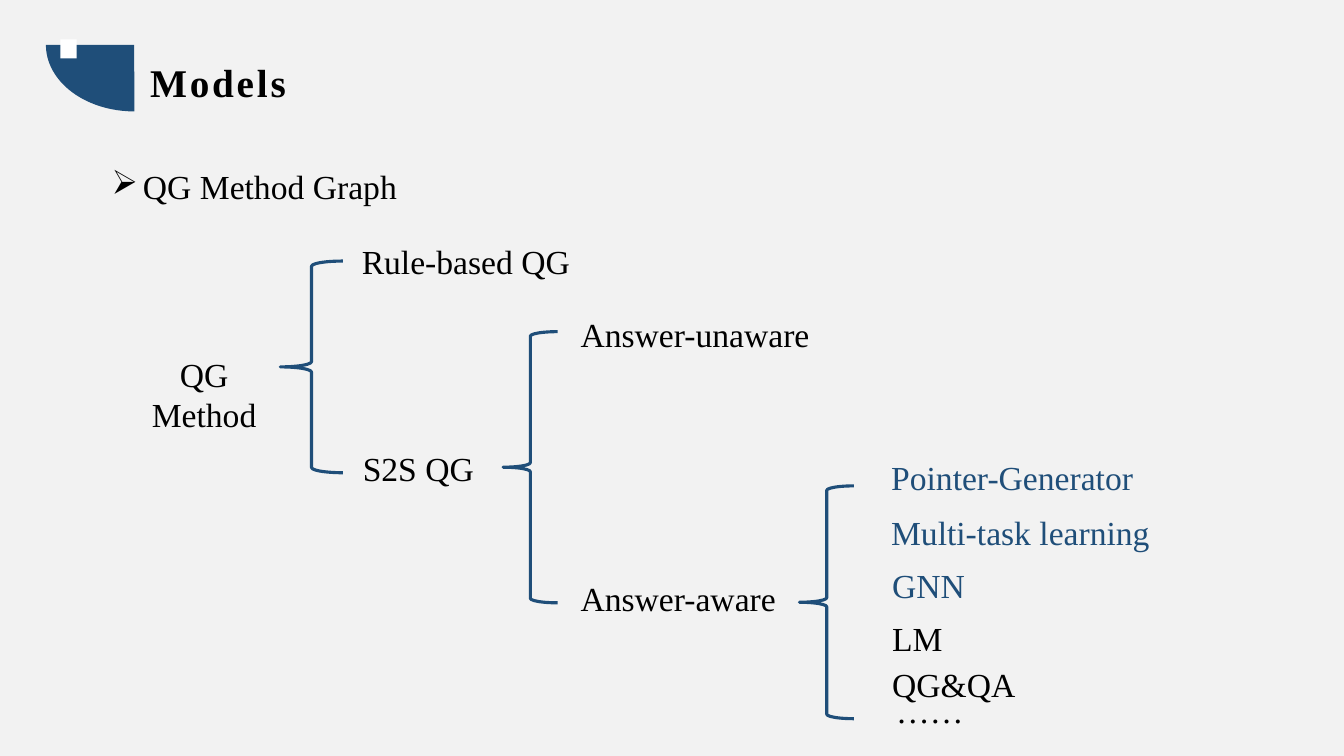
from dataclasses import dataclass

from lxml.etree import SubElement
from pptx import Presentation
from pptx.dml.color import RGBColor
from pptx.enum.shapes import MSO_SHAPE
from pptx.enum.text import MSO_AUTO_SIZE, PP_ALIGN
from pptx.oxml.ns import qn
from pptx.slide import Slide
from pptx.text.text import _Paragraph as Paragraph
from pptx.util import Inches, Pt

NAVY = RGBColor(0x1F, 0x4E, 0x79)
BLACK = RGBColor(0x00, 0x00, 0x00)
WHITE = RGBColor(0xFF, 0xFF, 0xFF)
LIGHT_GRAY = RGBColor(0xF2, 0xF2, 0xF2)

BODY_FORMAT = {"name": "Times New Roman", "size": Pt(24), "bold": False}
TITLE_FORMAT = BODY_FORMAT | {"size": Pt(28), "bold": True}


@dataclass(frozen=True)
class Area:
    left: float
    top: float
    width: float
    height: float

    def lengths(self) -> list[int]:
        return [Inches(value) for value in (self.left, self.top, self.width, self.height)]


@dataclass(frozen=True)
class Label:
    text: str
    area: Area
    color: RGBColor = BLACK
    align: PP_ALIGN = PP_ALIGN.LEFT


TITLE = Label("Models", Area(1.39, 0.53, 3.39, 0.57))
HEADING = Label("QG Method Graph", Area(1.01, 1.6, 3.26, 0.5))

BRACES = [
    Area(2.78, 2.59, 0.62, 2.1),
    Area(4.99, 3.29, 0.54, 2.69),
    Area(7.93, 4.82, 0.54, 2.31),
]

LABELS = [
    Label("QG Method", Area(1.36, 3.46, 1.33, 0.91), align=PP_ALIGN.CENTER),
    Label("Rule-based QG", Area(3.49, 2.34, 2.54, 0.5)),
    Label("S2S QG", Area(3.5, 4.39, 2.54, 0.5)),
    Label("Answer-unaware", Area(5.66, 3.07, 2.54, 0.5)),
    Label("Answer-aware", Area(5.66, 5.68, 2.54, 0.5)),
    Label("Pointer-Generator", Area(8.74, 4.48, 3.11, 0.5), NAVY),
    Label("Multi-task learning", Area(8.74, 5.03, 2.87, 0.5), NAVY),
    Label("GNN", Area(8.75, 5.56, 3.11, 0.5), NAVY),
    Label("LM", Area(8.75, 6.08, 3.11, 0.5)),
    Label("QG&QA", Area(8.75, 6.54, 3.11, 0.5)),
    Label("……", Area(8.79, 6.8, 3.11, 0.5)),
]


def add_label(page: Slide, label: Label, font_format: dict = BODY_FORMAT) -> Paragraph:
    box = page.shapes.add_textbox(*label.area.lengths())
    frame = box.text_frame
    frame.word_wrap = True
    frame.auto_size = MSO_AUTO_SIZE.SHAPE_TO_FIT_TEXT
    para = frame.paragraphs[0]
    para.alignment = label.align
    span = para.add_run()
    span.text = label.text
    for name, value in font_format.items():
        setattr(span.font, name, value)
    span.font.color.rgb = label.color
    return para


def add_title(page: Slide) -> None:
    para = add_label(page, TITLE, TITLE_FORMAT)
    para.runs[0].font._element.set("spc", "200")


def add_heading(page: Slide) -> None:
    para = add_label(page, HEADING)
    properties = para._p.get_or_add_pPr()
    properties.set("marL", str(Inches(0.31)))
    properties.set("indent", str(Inches(-0.31)))
    SubElement(properties, qn("a:buChar")).set("char", "➢")


def add_brace(page: Slide, area: Area) -> None:
    brace = page.shapes.add_shape(MSO_SHAPE.LEFT_BRACE, *area.lengths())
    brace.shadow.inherit = False
    brace.fill.background()
    brace.line.color.rgb = NAVY
    brace.line.width = Pt(2.25)


def add_solid(page: Slide, kind: MSO_SHAPE, area: Area, color: RGBColor):
    solid = page.shapes.add_shape(kind, *area.lengths())
    solid.shadow.inherit = False
    solid.fill.solid()
    solid.fill.fore_color.rgb = color
    solid.line.fill.background()
    return solid


def add_emblem(page: Slide) -> None:
    quarter = add_solid(page, MSO_SHAPE.PIE, Area(0.67, -0.43, 1.32, 1.75), NAVY)
    quarter.rotation = 270
    quarter.adjustments[0] = 107.8
    quarter.adjustments[1] = 162
    add_solid(page, MSO_SHAPE.RECTANGLE, Area(0.6, 0.39, 0.16, 0.19), WHITE)


def main() -> None:
    deck = Presentation()
    deck.slide_width = Inches(13.33)
    deck.slide_height = Inches(7.5)
    page = deck.slides.add_slide(deck.slide_layouts[6])
    page.background.fill.solid()
    page.background.fill.fore_color.rgb = LIGHT_GRAY

    add_emblem(page)
    add_title(page)
    add_heading(page)
    for area in BRACES:
        add_brace(page, area)
    for label in LABELS:
        add_label(page, label)

    deck.save("out.pptx")


if __name__ == "__main__":
    main()
